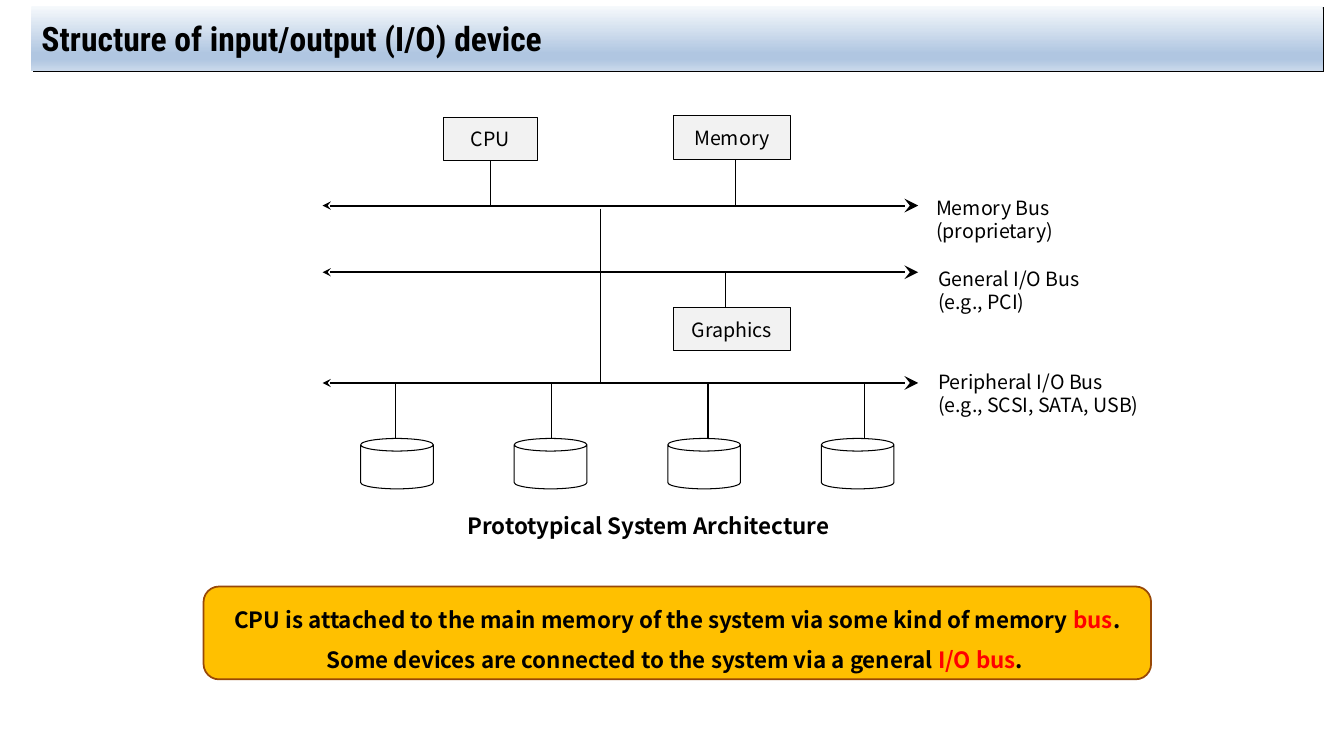
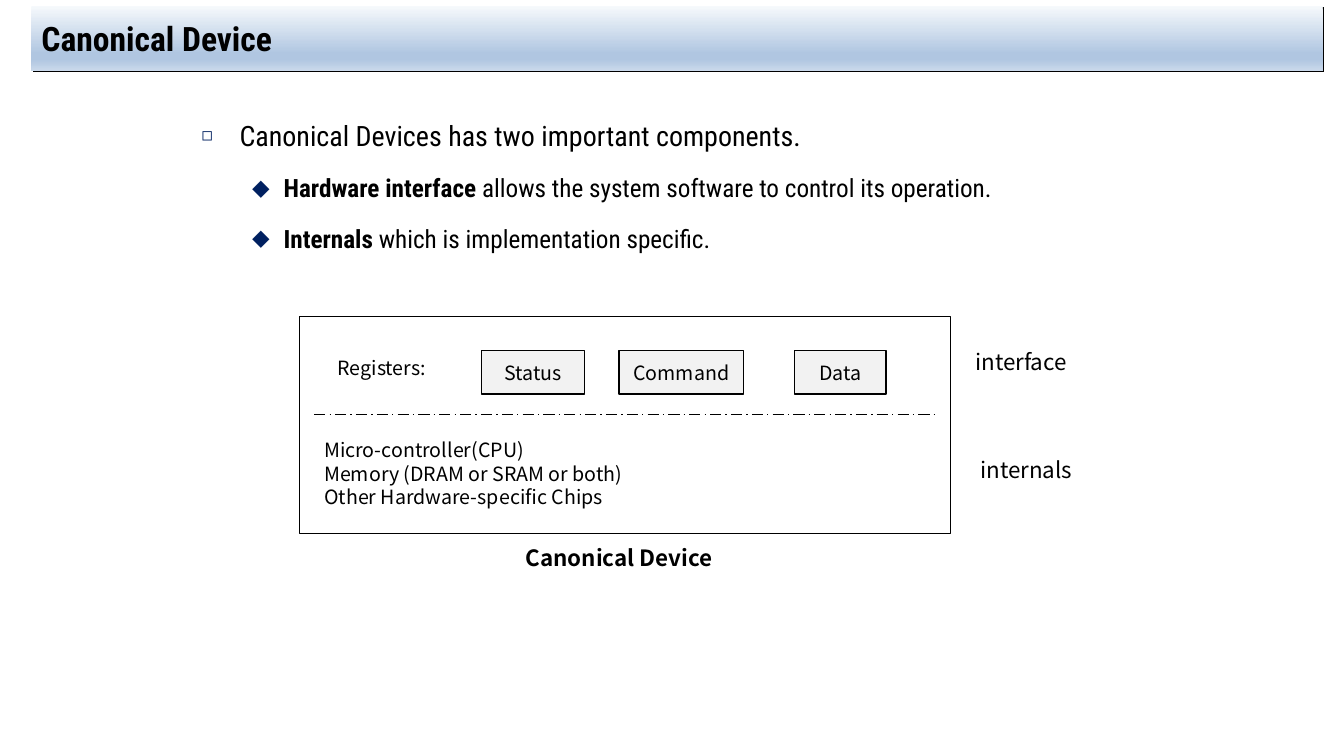
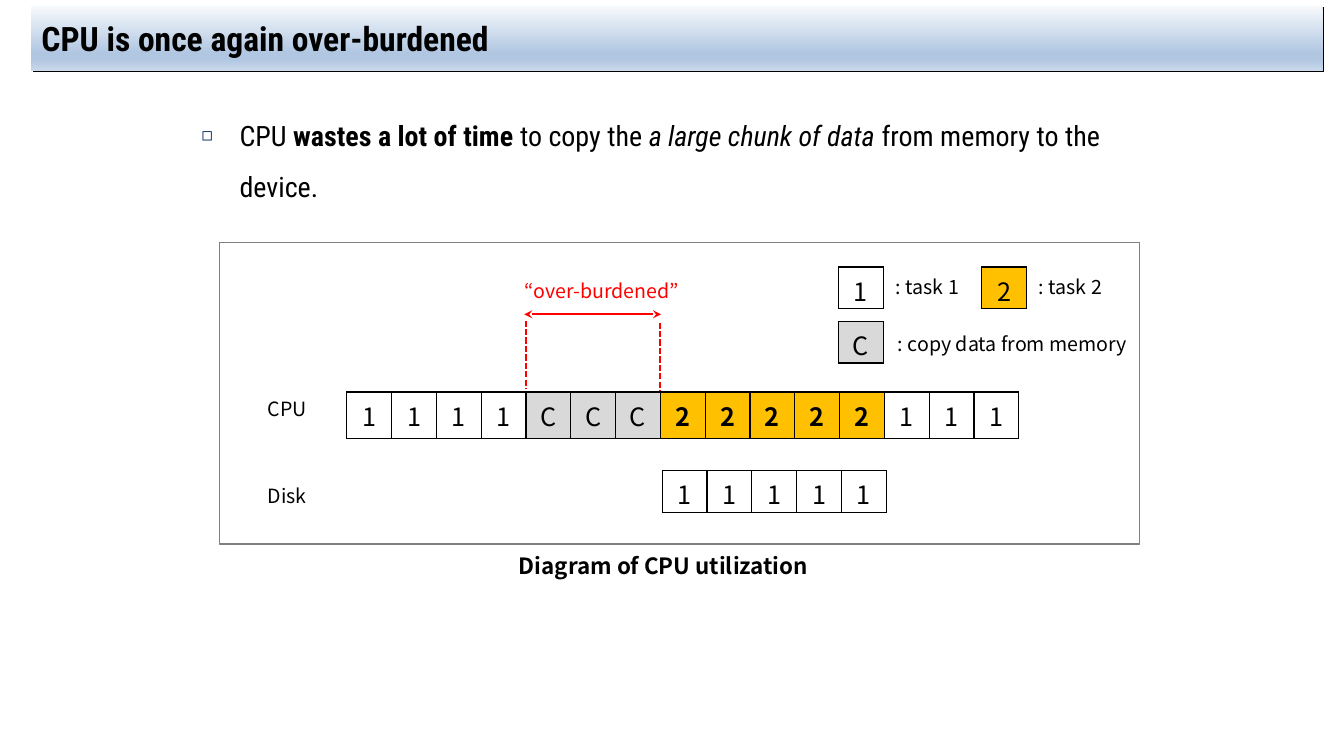
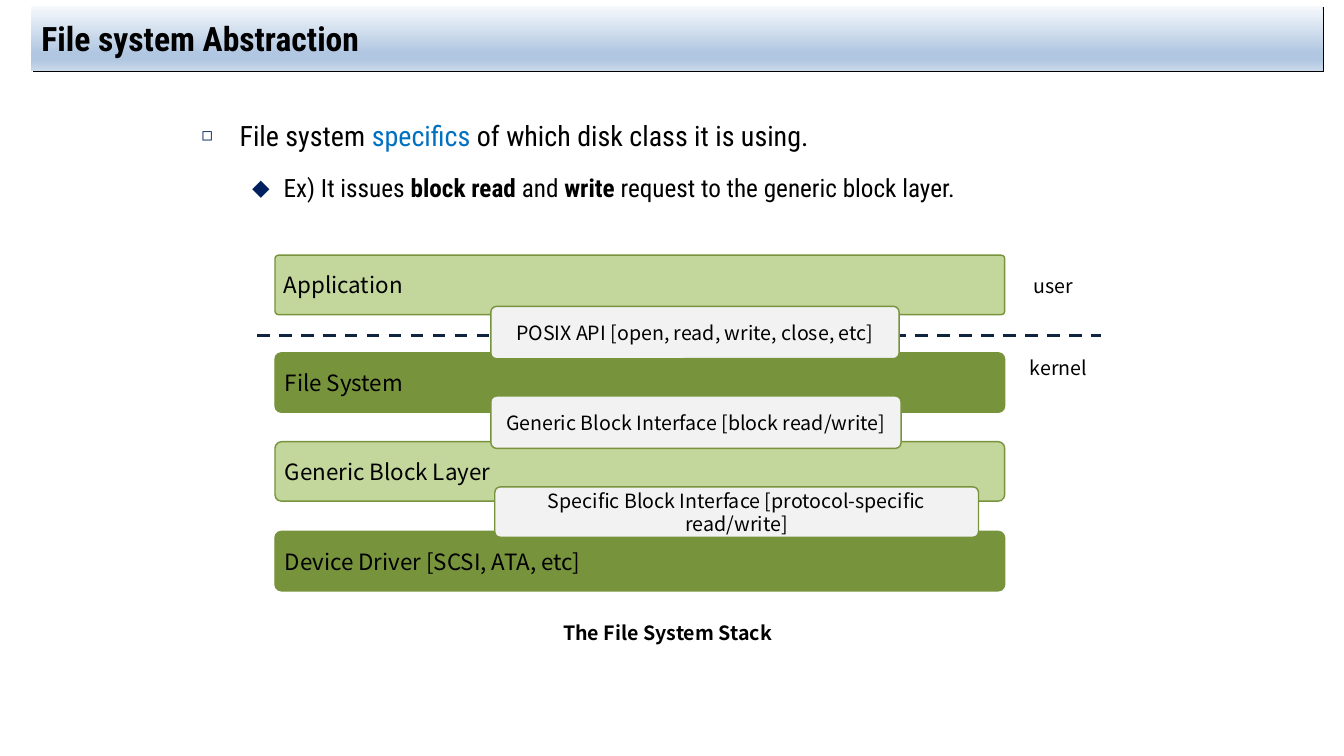
from typing import NamedTuple, Optional

from lxml.etree import SubElement
from pptx import Presentation
from pptx.dml.color import RGBColor
from pptx.enum.dml import MSO_LINE
from pptx.enum.shapes import MSO_CONNECTOR, MSO_SHAPE
from pptx.enum.text import MSO_ANCHOR, MSO_AUTO_SIZE, PP_ALIGN
from pptx.oxml import parse_xml
from pptx.oxml.ns import qn
from pptx.util import Cm, Pt

HEAD_FONT = "Roboto Condensed"
TEXT_FONT = "Noto Sans CJK KR"
BLACK, WHITE, RED = "000000", "FFFFFF", "FF0000"
PALE, GREY, MID_GREY, AMBER, BROWN = "F2F2F2", "D9D9D9", "808080", "FFC000", "984807"
LIGHT_GREEN, GREEN, NAVY, INK, BLUE = "C3D69B", "77933C", "002060", "0F243E", "0070C0"
BAND_STOPS = ((0, "F6F9FC"), (74, "B0C6E1"), (83, "B0C6E1"), (100, "CAD9EB"))
A_NS = 'xmlns:a="http://schemas.openxmlformats.org/drawingml/2006/main"'
LEFT, CENTER = PP_ALIGN.LEFT, PP_ALIGN.CENTER
CELL_W, CELL_H = 1.13, 1.04


class Run(NamedTuple):
    text: str
    bold: bool = False
    italic: bool = False
    color: str = BLACK


class Bullet(NamedTuple):
    level: int
    runs: list[Run]


class BulletStyle(NamedTuple):
    char: str
    percent: int
    size: int


class Box(NamedTuple):
    text: str
    x: float
    y: float
    w: float
    h: float = 1.09


class Label(NamedTuple):
    text: str
    x: float
    y: float
    w: float
    h: float = 0.86
    size: int = 14
    bold: bool = False
    align: PP_ALIGN = LEFT
    color: str = BLACK


class Line(NamedTuple):
    x1: float
    y1: float
    x2: float
    y2: float
    width: float = 1
    color: str = BLACK
    dash: Optional[MSO_LINE] = None
    head: str = ""
    tail: str = ""


class Strip(NamedTuple):
    text: str
    x: float
    y: float
    bottom: float = 0


BULLETS = (BulletStyle("◻", 65, 20), BulletStyle("⬥", 100, 18))
CELL_FILLS = {"C": GREY, "2": AMBER}


def rgb(color: str) -> RGBColor:
    return RGBColor.from_string(color)


def add_runs(p, runs: list[Run], size: float, font: str = TEXT_FONT) -> None:
    for run in runs:
        r = p.add_run()
        r.text = run.text
        r.font.name = font
        r.font.size = Pt(size)
        r.font.bold = run.bold
        r.font.italic = run.italic
        r.font.color.rgb = rgb(run.color)


def add_paragraphs(tf, paragraphs: list[list[Run]], size: float, align: PP_ALIGN,
                   spacing: float = 1) -> None:
    for i, runs in enumerate(paragraphs):
        p = tf.add_paragraph() if i else tf.paragraphs[0]
        p.alignment = align
        p.line_spacing = spacing
        add_runs(p, runs, size)


def place(sp, x: float, y: float, w: float, h: float) -> None:
    sp.left, sp.top, sp.width, sp.height = Cm(x), Cm(y), Cm(w), Cm(h)


def add_title(s, text: str) -> None:
    sp = s.shapes.title
    place(sp, 0.79, 0.15, 32.54, 1.63)
    stops = "".join(f'<a:gs pos="{pos * 1000}"><a:srgbClr val="{color}"/></a:gs>'
                    for pos, color in BAND_STOPS)
    spPr = sp.element.spPr
    spPr.append(parse_xml(f'<a:gradFill {A_NS} rotWithShape="1"><a:gsLst>{stops}</a:gsLst>'
                          '<a:lin ang="5400000" scaled="0"/></a:gradFill>'))
    spPr.append(parse_xml(f'<a:effectLst {A_NS}><a:outerShdw blurRad="0" dist="17780" '
                          f'dir="2700000" algn="tl" rotWithShape="0"><a:srgbClr val="{BLACK}"/>'
                          '</a:outerShdw></a:effectLst>'))
    tf = sp.text_frame
    tf.auto_size = MSO_AUTO_SIZE.NONE
    tf.vertical_anchor = MSO_ANCHOR.MIDDLE
    p = tf.paragraphs[0]
    p.alignment = LEFT
    add_runs(p, [Run(text, bold=True)], 24, HEAD_FONT)


def add_body(s, bullets: list[Bullet]) -> None:
    sp = s.placeholders[1]
    place(sp, 4.83, 2.44, 24.41, 11.68)
    tf = sp.text_frame
    tf.auto_size = MSO_AUTO_SIZE.NONE
    for i, bullet in enumerate(bullets):
        style = BULLETS[bullet.level]
        p = tf.add_paragraph() if i else tf.paragraphs[0]
        p.level = bullet.level
        p.line_spacing = 1.5
        pPr = p._p.get_or_add_pPr()
        SubElement(SubElement(pPr, qn("a:buClr")), qn("a:srgbClr")).set("val", NAVY)
        SubElement(pPr, qn("a:buSzPct")).set("val", str(style.percent * 1000))
        SubElement(pPr, qn("a:buChar")).set("char", style.char)
        add_runs(p, bullet.runs, style.size, HEAD_FONT)


def add_box(s, kind: MSO_SHAPE, box: Box, fill: str = "", line: str = BLACK,
            width: float = 0.75, size: float = 14, align: PP_ALIGN = CENTER,
            inset: float = 0, adj: Optional[float] = None):
    sp = s.shapes.add_shape(kind, Cm(box.x), Cm(box.y), Cm(box.w), Cm(box.h))
    sp.shadow.inherit = False
    if fill:
        sp.fill.solid()
        sp.fill.fore_color.rgb = rgb(fill)
    else:
        sp.fill.background()
    sp.line.color.rgb = rgb(line)
    sp.line.width = Pt(width)
    if adj is not None:
        sp.adjustments[0] = adj
    tf = sp.text_frame
    tf.word_wrap = True
    tf.margin_left = tf.margin_right = Cm(inset)
    if box.text:
        add_paragraphs(tf, [[Run(box.text)]], size, align)
    return sp


def add_label(s, label: Label) -> None:
    sp = s.shapes.add_textbox(Cm(label.x), Cm(label.y), Cm(label.w), Cm(label.h))
    tf = sp.text_frame
    tf.word_wrap = True
    tf.auto_size = MSO_AUTO_SIZE.SHAPE_TO_FIT_TEXT
    paragraphs = [[Run(text, label.bold, color=label.color)] for text in label.text.split("\n")]
    add_paragraphs(tf, paragraphs, label.size, label.align)


def add_line(s, line: Line):
    c = s.shapes.add_connector(MSO_CONNECTOR.STRAIGHT, Cm(line.x1), Cm(line.y1),
                               Cm(line.x2), Cm(line.y2))
    c.line.color.rgb = rgb(line.color)
    c.line.width = Pt(line.width)
    if line.dash is not None:
        c.line.dash_style = line.dash
    for tag, size in (("a:headEnd", line.head), ("a:tailEnd", line.tail)):
        if size:
            end = SubElement(c.line._get_or_add_ln(), qn(tag))
            for name, value in (("type", "stealth"), ("w", size), ("len", size)):
                end.set(name, value)
    SubElement(c.element.spPr, qn("a:effectLst"))
    return c


def add_strip(s, strip: Strip) -> None:
    n = len(strip.text)
    tbl = s.shapes.add_table(1, n, Cm(strip.x), Cm(strip.y), Cm(CELL_W * n), Cm(CELL_H)).table
    tbl.first_row = tbl.horz_banding = False
    for i, char in enumerate(strip.text):
        tbl.columns[i].width = Cm(CELL_W)
        cell = tbl.cell(0, i)
        cell.margin_bottom = Cm(strip.bottom)
        tcPr = cell._tc.get_or_add_tcPr()
        for side in "LRTB":
            tcPr.append(parse_xml(f'<a:ln{side} {A_NS} w="12700"><a:solidFill>'
                                  f'<a:srgbClr val="{BLACK}"/></a:solidFill></a:ln{side}>'))
        if char in CELL_FILLS:
            cell.fill.solid()
            cell.fill.fore_color.rgb = rgb(CELL_FILLS[char])
        else:
            cell.fill.background()
        bold = char == "2" and n > 1
        add_paragraphs(cell.text_frame, [[Run(char, bold)]], 18, CENTER)


def add_slide(prs, title: str, bullets: Optional[list[Bullet]] = None):
    s = prs.slides.add_slide(prs.slide_layouts[1 if bullets else 5])
    add_title(s, title)
    if bullets:
        add_body(s, bullets)
    return s


def build_structure(prs) -> None:
    s = add_slide(prs, "Structure of input/output (I/O) device")
    memory_y, general_y, peripheral_y, can_y = 5.18, 6.86, 9.65, 11.05
    for y in (memory_y, general_y, peripheral_y):
        add_line(s, Line(8.13, y, 23.14, y, 1.5, head="med", tail="lg"))
    add_line(s, Line(15.14, 5.26, 15.14, general_y, 0.5))
    add_line(s, Line(15.14, general_y, 15.14, peripheral_y))
    add_line(s, Line(18.29, general_y, 18.29, 8.26, 0.5))
    add_line(s, Line(18.54, 4.04, 18.54, 5.16, 0.5))
    cpu, _, _ = [add_box(s, MSO_SHAPE.RECTANGLE, box, PALE) for box in (
        Box("CPU", 11.18, 2.95, 2.36),
        Box("Memory", 16.97, 2.92, 2.95),
        Box("Graphics", 16.97, 7.75, 2.95),
    )]
    add_line(s, Line(12.36, 4.04, 12.36, 5.16, 0.5)).begin_connect(cpu, 2)
    for i in range(4):
        x = 9.96 + 3.94 * i
        add_box(s, MSO_SHAPE.CAN, Box("", 9.09 + 3.87 * i, can_y, 1.83, 1.27), WHITE)
        add_line(s, Line(x, peripheral_y, x, can_y))
    for label in (
        Label("Prototypical System Architecture", 11.53, 12.78, 9.86, 0.94, 16, True),
        Label("Memory Bus\n(proprietary)", 23.34, 4.8, 4.06, 1.45),
        Label("General I/O Bus\n(e.g., PCI)", 23.39, 6.6, 4.6, 1.45),
        Label("Peripheral I/O Bus\n(e.g., SCSI, SATA, USB)", 23.39, 9.19, 5.59, 1.45),
    ):
        add_label(s, label)
    callout = add_box(s, MSO_SHAPE.ROUNDED_RECTANGLE, Box("", 5.13, 14.78, 23.88, 2.34),
                      AMBER, BROWN, 1.25, inset=0.3)
    add_paragraphs(callout.text_frame, [
        [Run("CPU is attached to the main memory of the system via some kind of memory ", True),
         Run("bus", True, color=RED), Run(".", True)],
        [Run("Some devices are connected to the system via a general ", True),
         Run("I/O bus", True, color=RED), Run(". ", True)],
    ], 16, CENTER, 1.5)


def build_device(prs) -> None:
    s = add_slide(prs, "Canonical Device", [
        Bullet(0, [Run("Canonical Devices has two important components.")]),
        Bullet(1, [Run("Hardware interface", True),
                   Run(" allows the system software to control its operation.")]),
        Bullet(1, [Run("Internals", True), Run(" which is implementation specific.")]),
    ])
    add_box(s, MSO_SHAPE.RECTANGLE, Box("", 7.54, 7.98, 16.41, 5.46))
    add_line(s, Line(7.92, 10.44, 23.55, 10.44, dash=MSO_LINE.LONG_DASH_DOT))
    for box in (
        Box("Status", 12.14, 8.84, 2.59),
        Box("Command", 15.6, 8.84, 3.15),
        Box("Data", 20.02, 8.84, 2.31),
    ):
        add_box(s, MSO_SHAPE.RECTANGLE, box, PALE)
    for label in (
        Label("Canonical Device ", 12.34, 13.59, 6.65, 0.94, 16, True, CENTER),
        Label("Registers:", 8.26, 8.84, 4.06),
        Label("Micro-controller(CPU)\nMemory (DRAM or SRAM or both)\nOther Hardware-specific Chips",
              7.92, 10.92, 10.8, 2.06),
        Label("interface", 24.33, 8.64, 4.06, 0.94, 16),
        Label("internals", 24.46, 11.38, 4.06, 0.94, 16),
    ):
        add_label(s, label)


def build_utilization(prs) -> None:
    s = add_slide(prs, "CPU is once again over-burdened", [
        Bullet(0, [Run("CPU "), Run("wastes a lot of time ", True), Run("to copy the "),
                   Run("a large chunk of data ", italic=True),
                   Run("from memory to the device.")]),
    ])
    add_box(s, MSO_SHAPE.RECTANGLE, Box("", 5.54, 6.12, 23.19, 7.59), line=MID_GREY)
    for strip in (
        Strip("1111CCC22222111", 8.74, 9.88, 0.13),
        Strip("11111", 16.69, 11.86),
        Strip("1", 21.13, 6.73),
        Strip("2", 24.74, 6.73),
        Strip("C", 21.13, 8.1),
    ):
        add_strip(s, strip)
    for line in (
        Line(13.26, 8.08, 13.26, 9.78, 1.5, RED, MSO_LINE.SQUARE_DOT),
        Line(16.64, 8.13, 16.64, 9.83, 1.5, RED, MSO_LINE.SQUARE_DOT),
        Line(13.21, 7.92, 16.66, 7.92, 1.5, RED, head="med", tail="med"),
    ):
        add_line(s, line)
    for label in (
        Label("CPU", 6.5, 9.88, 2.03),
        Label("Disk", 6.5, 12.07, 2.03),
        Label("Diagram of CPU utilization", 9.93, 13.79, 13.59, 0.94, 16, True, CENTER),
        Label("“over-burdened”", 12.98, 6.91, 4.57, color=RED),
        Label(": task 1", 22.33, 6.81, 3.4),
        Label(": task 2", 25.93, 6.81, 2.21),
        Label(": copy data from memory", 22.38, 8.23, 6.76),
    ):
        add_label(s, label)


def build_stack(prs) -> None:
    s = add_slide(prs, "File system Abstraction", [
        Bullet(0, [Run("File system "), Run("specifics", color=BLUE),
                   Run(" of which disk class it is using.")]),
        Bullet(1, [Run("Ex) It issues "), Run("block read ", True), Run("and "),
                   Run("write", True), Run(" request to the generic block layer.")]),
    ])
    layers = (("Application", 6.43, LIGHT_GREEN, 0.06), ("File System", 8.89, GREEN, 0.11),
              ("Generic Block Layer", 11.13, LIGHT_GREEN, 0.11),
              ("Device Driver [SCSI, ATA, etc]", 13.39, GREEN, 0.11))
    for text, y, fill, adj in layers:
        add_box(s, MSO_SHAPE.ROUNDED_RECTANGLE, Box(text, 6.93, y, 18.39, 1.5), fill, GREEN, 1,
                16, LEFT, 0.2, adj)
    add_line(s, Line(6.48, 8.46, 27.74, 8.46, 2.25, INK, MSO_LINE.DASH))
    for box in (
        Box("Specific Block Interface [protocol-specific read/write]", 12.47, 12.27, 12.19, 1.27),
        Box("Generic Block Interface [block read/write]", 12.37, 9.98, 10.34, 1.32),
        Box("POSIX API [open, read, write, close, etc]", 12.37, 7.72, 10.29, 1.32),
    ):
        add_box(s, MSO_SHAPE.ROUNDED_RECTANGLE, box, PALE, GREEN, 1, inset=0.2, adj=0.11)
    for label in (
        Label("The File System Stack", 9.93, 15.52, 13.79, bold=True, align=CENTER),
        Label("user", 25.32, 6.78, 2.46, align=CENTER),
        Label("kernel", 25.45, 8.84, 2.46, align=CENTER),
    ):
        add_label(s, label)


def main() -> None:
    prs = Presentation()
    prs.slide_width, prs.slide_height = Cm(33.87), Cm(19.05)
    for build in (build_structure, build_device, build_utilization, build_stack):
        build(prs)
    prs.save("out.pptx")


if __name__ == "__main__":
    main()
